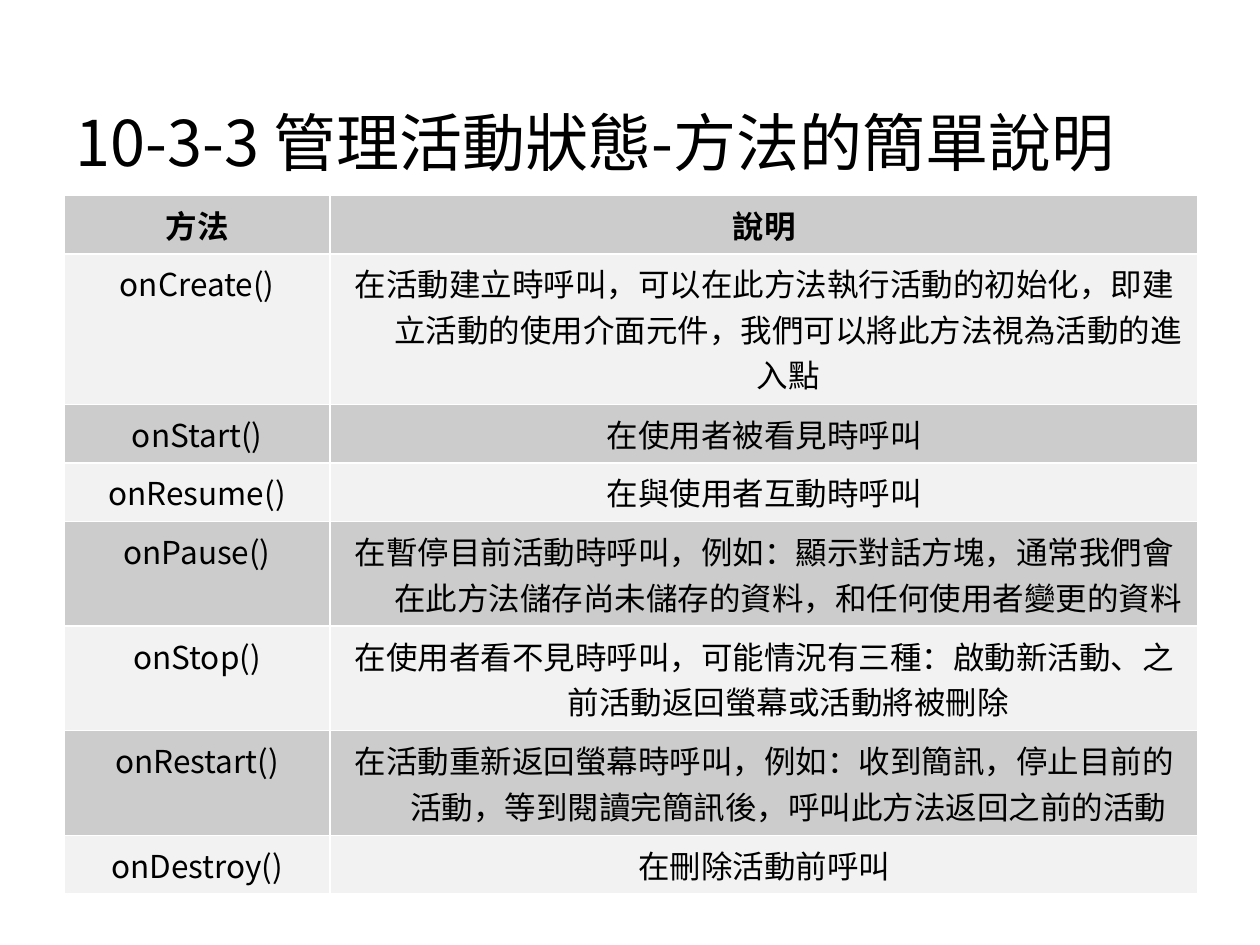
from dataclasses import dataclass

from lxml import etree
from pptx import Presentation
from pptx import util as u
from pptx.dml.color import RGBColor
from pptx.enum import text
from pptx.oxml.ns import qn


@dataclass(frozen=True)
class Theme:
    font: str = "Noto Sans CJK SC"
    ink: str = "000000"
    rule: str = "FFFFFF"
    dark: str = "CCCCCC"
    light: str = "F2F2F2"
    head: int = 36
    body: int = 18
    line: float = 0.96
    hang: float = 0.38


class Deck:
    COLS, ROWS = 20, 15

    def __init__(self, theme):
        self.theme = theme
        self.prs = Presentation()
        self.prs.slide_width = u.Inches(10)
        self.prs.slide_height = u.Inches(7.5)
        self.slide = self.prs.slides.add_slide(self.prs.slide_layouts[5])

    def wide(self, cols):
        return round(self.prs.slide_width * cols / self.COLS)

    def high(self, rows):
        return round(self.prs.slide_height * rows / self.ROWS)

    def run(self, para, words, size, bold=False):
        run = para.add_run()
        run.text = words
        font = run.font
        font.name, font.size, font.bold = self.theme.font, u.Pt(size), bold
        font.color.rgb = RGBColor.from_string(self.theme.ink)
        east = etree.SubElement(run._r.get_or_add_rPr(), qn("a:ea"))
        east.set("typeface", self.theme.font)

    def title(self, words, x, y, w, h):
        box = self.slide.shapes.title
        box.left, box.top = self.wide(x), self.high(y)
        box.width, box.height = self.wide(w), self.high(h)
        frame = box.text_frame
        frame.word_wrap = True
        frame.auto_size = text.MSO_AUTO_SIZE.NONE
        frame.vertical_anchor = text.MSO_ANCHOR.BOTTOM
        para = frame.paragraphs[0]
        para.alignment = text.PP_ALIGN.LEFT
        self.run(para, words, self.theme.head)

    def edge(self, cell):
        """Rule all four sides of a cell."""
        props = cell._tc.get_or_add_tcPr()
        for side in ("lnL", "lnR", "lnT", "lnB"):
            line = etree.SubElement(props, qn(f"a:{side}"))
            line.set("w", str(u.Pt(self.theme.line)))
            fill = etree.SubElement(line, qn("a:solidFill"))
            etree.SubElement(fill, qn("a:srgbClr")).set("val", self.theme.rule)

    def cell(self, cell, words, tint, bold):
        self.edge(cell)
        cell.fill.solid()
        cell.fill.fore_color.rgb = RGBColor.from_string(tint)
        para = cell.text_frame.paragraphs[0]
        para.alignment = text.PP_ALIGN.CENTER
        hang = u.Inches(self.theme.hang)
        props = para._p.get_or_add_pPr()
        props.set("marL", str(hang))
        props.set("indent", str(-hang))
        self.run(para, words, self.theme.body, bold)

    def table(self, rows, x, y, widths, pad, step):
        """Each row is (line count, texts); its height is pad + step per line."""
        highs = [pad + step * count for count, _ in rows]
        grid = self.slide.shapes.add_table(
            len(rows), len(widths), self.wide(x), self.high(y),
            self.wide(sum(widths)), self.high(sum(highs))).table
        grid.horz_banding = False
        for col, width in zip(grid.columns, widths):
            col.width = self.wide(width)
        for i, (_, words) in enumerate(rows):
            grid.rows[i].height = self.high(highs[i])
            tint = self.theme.light if i % 2 else self.theme.dark
            for j, word in enumerate(words):
                self.cell(grid.cell(i, j), word, tint, bold=i == 0)

    def save(self):
        self.prs.save("out.pptx")


METHODS = [
    (1, ("方法", "說明")),
    (3, ("onCreate()", "在活動建立時呼叫，可以在此方法執行活動的初始化，"
         "即建立活動的使用介面元件，我們可以將此方法視為活動的進入點")),
    (1, ("onStart()", "在使用者被看見時呼叫")),
    (1, ("onResume()", "在與使用者互動時呼叫")),
    (2, ("onPause()", "在暫停目前活動時呼叫，例如：顯示對話方塊，"
         "通常我們會在此方法儲存尚未儲存的資料，和任何使用者變更的資料")),
    (2, ("onStop()", "在使用者看不見時呼叫，可能情況有三種："
         "啟動新活動、之前活動返回螢幕或活動將被刪除")),
    (2, ("onRestart()", "在活動重新返回螢幕時呼叫，例如：收到簡訊，"
         "停止目前的活動，等到閱讀完簡訊後，呼叫此方法返回之前的活動")),
    (1, ("onDestroy()", "在刪除活動前呼叫")),
]


def main():
    deck = Deck(Theme())
    deck.title("10-3-3 管理活動狀態-方法的簡單說明", 1, 0.44, 18, 2.5)
    deck.table(METHODS, 1.02, 3.1, (4.22, 13.78), pad=0.2, step=0.73)
    deck.save()


if __name__ == "__main__":
    main()
